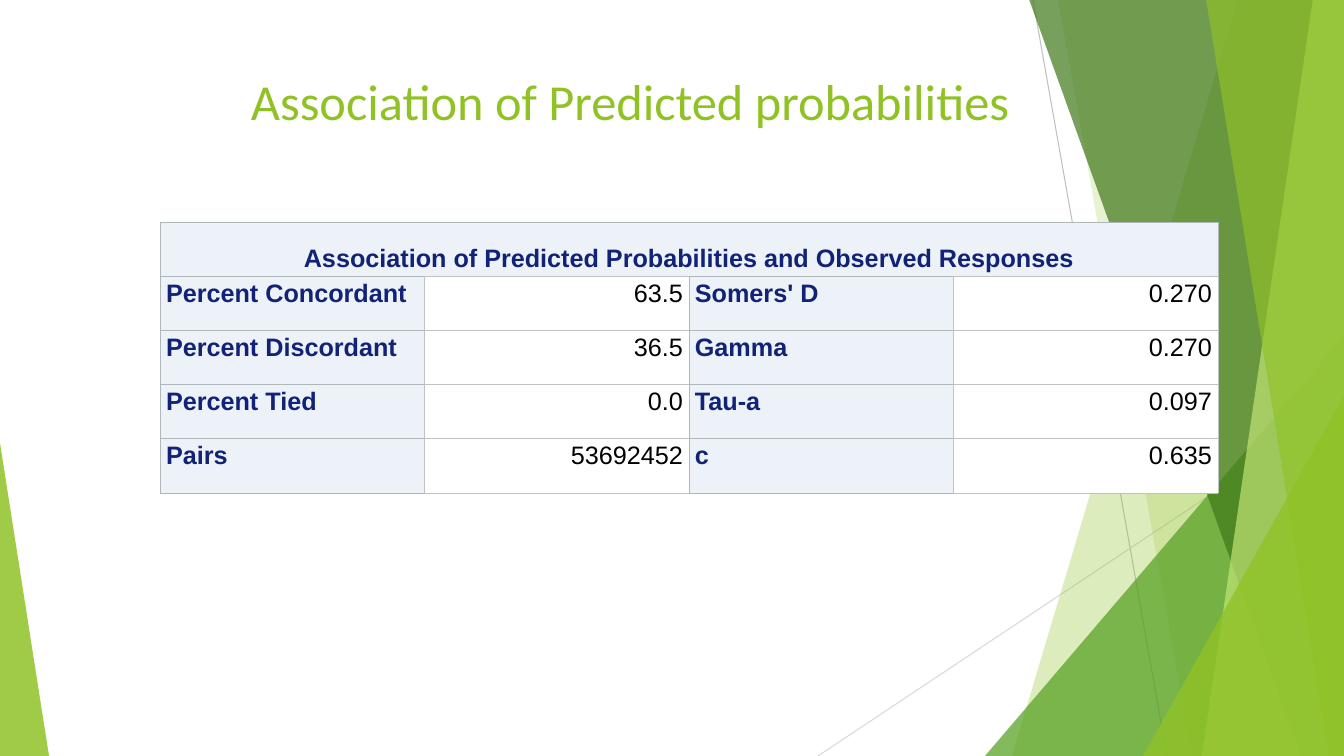
"""Builds the slide on association of predicted probabilities."""
from dataclasses import dataclass

from lxml import etree
from pptx import Presentation
from pptx import util as u
from pptx.dml.color import RGBColor
from pptx.enum import shapes, text
from pptx.oxml.ns import qn


@dataclass(frozen=True)
class Theme:
    lime: str = "90C226"
    leaf: str = "54A021"
    forest: str = "3F7819"
    pale: str = "C0E474"
    navy: str = "112277"
    black: str = "000000"
    white: str = "FFFFFF"
    label_fill: str = "EDF2F9"
    label_edge: str = "B0B7BB"
    value_edge: str = "C1C1C1"
    title_font: str = "Calibri"
    table_font: str = "Arial"
    title_size: int = 36
    table_size: int = 18


def px(n):
    return u.Emu(round(n * 914400 / 100.8))


def set_fill(fill, color, alpha=100):
    fill.solid()
    fill.fore_color.rgb = RGBColor.from_string(color)
    if alpha < 100:
        clr = fill._xPr.find(qn("a:solidFill"))[0]
        etree.SubElement(clr, qn("a:alpha"), val=str(alpha * 1000))


theme = Theme()
W, H = 1344, 756
prs = Presentation()
prs.slide_width, prs.slide_height = px(W), px(H)
s = prs.slides.add_slide(prs.slide_layouts[6])

for x1, y1, x2, y2, color in [
    (1033, 0, 1167, H, "BFBFBF"),
    (W, 406, 818, H, "D9D9D9"),
]:
    line = s.shapes.add_connector(
        shapes.MSO_CONNECTOR.STRAIGHT, px(x1), px(y1), px(x2), px(y2))
    line.line.color.rgb = RGBColor.from_string(color)
    line.line.width = u.Pt(0.75)
    etree.SubElement(line._element.spPr, qn("a:effectLst"))

# Each band: kind, geometry, colour, opacity
bands = [
    ("quad", (1238, 1012), theme.lime, 30),
    ("quad", (1058, 1192), theme.lime, 20),
    ("triangle", (985, 336, 359, 1), theme.leaf, 72),
    ("quad", (1029, 1301), theme.forest, 70),
    ("quad", (1313, 1202), theme.pale, 70),
    ("quad", (1206, 1329), theme.lime, 65),
    ("triangle", (1143, 396, 201, 1), theme.lime, 80),
    ("triangle", (0, 443, 49, 0), theme.lime, 85),
]
for kind, geometry, color, alpha in bands:
    if kind == "quad":
        top_x, bottom_x = geometry
        outline = s.shapes.build_freeform(px(top_x), px(-1))
        outline.add_line_segments(
            [(px(W), px(-1)), (px(W), px(H)), (px(bottom_x), px(H))], close=True)
        sp = outline.convert_to_shape()
    else:
        left, top, width, apex = geometry
        sp = s.shapes.add_shape(
            shapes.MSO_SHAPE.ISOSCELES_TRIANGLE,
            px(left), px(top), px(width), px(H - top))
        sp.adjustments[0] = apex
    set_fill(sp.fill, color, alpha)
    sp.line.fill.background()
    sp.shadow.inherit = False

title = s.shapes.add_textbox(px(241), px(65), px(852), px(131))
tf = title.text_frame
tf.word_wrap = True
p = tf.paragraphs[0]
p.text = "Association of Predicted probabilities"
p.font.name = theme.title_font
p.font.size = u.Pt(theme.title_size)
p.font.color.rgb = RGBColor.from_string(theme.lime)

rows = [
    ("Association of Predicted Probabilities and Observed Responses", "", "", ""),
    ("Percent Concordant", "63.5", "Somers' D", "0.270"),
    ("Percent Discordant", "36.5", "Gamma", "0.270"),
    ("Percent Tied", "0.0", "Tau-a", "0.097"),
    ("Pairs", "53692452", "c", "0.635"),
]
table = s.shapes.add_table(
    len(rows), 4, px(160), px(222), px(1058), px(271)).table
table.cell(0, 0).merge(table.cell(0, 3))
for r, row in enumerate(rows):
    for c, value in enumerate(row):
        cell = table.cell(r, c)
        is_header = r == 0
        is_label = is_header or c % 2 == 0
        cell.margin_left = cell.margin_right = px(6)
        cell.margin_top = cell.margin_bottom = px(3)
        edge = theme.label_edge if is_label else theme.value_edge
        right_edge = theme.label_edge if is_header or c == 1 else theme.value_edge
        for side, color in zip("LRTB", (edge, right_edge, edge, edge)):
            ln = etree.SubElement(
                cell._tc.get_or_add_tcPr(), qn(f"a:ln{side}"), w=str(u.Pt(0.5)))
            solid = etree.SubElement(ln, qn("a:solidFill"))
            etree.SubElement(solid, qn("a:srgbClr"), val=color)
        set_fill(cell.fill, theme.label_fill if is_label else theme.white)
        if is_header:
            cell.vertical_anchor = text.MSO_ANCHOR.BOTTOM
            align = text.PP_ALIGN.CENTER
        else:
            align = text.PP_ALIGN.LEFT if is_label else text.PP_ALIGN.RIGHT
        p = cell.text_frame.paragraphs[0]
        p.text = value
        p.alignment = align
        p.font.name = theme.table_font
        p.font.size = u.Pt(theme.table_size)
        p.font.bold = is_label
        p.font.color.rgb = RGBColor.from_string(
            theme.navy if is_label else theme.black)

prs.save("out.pptx")
